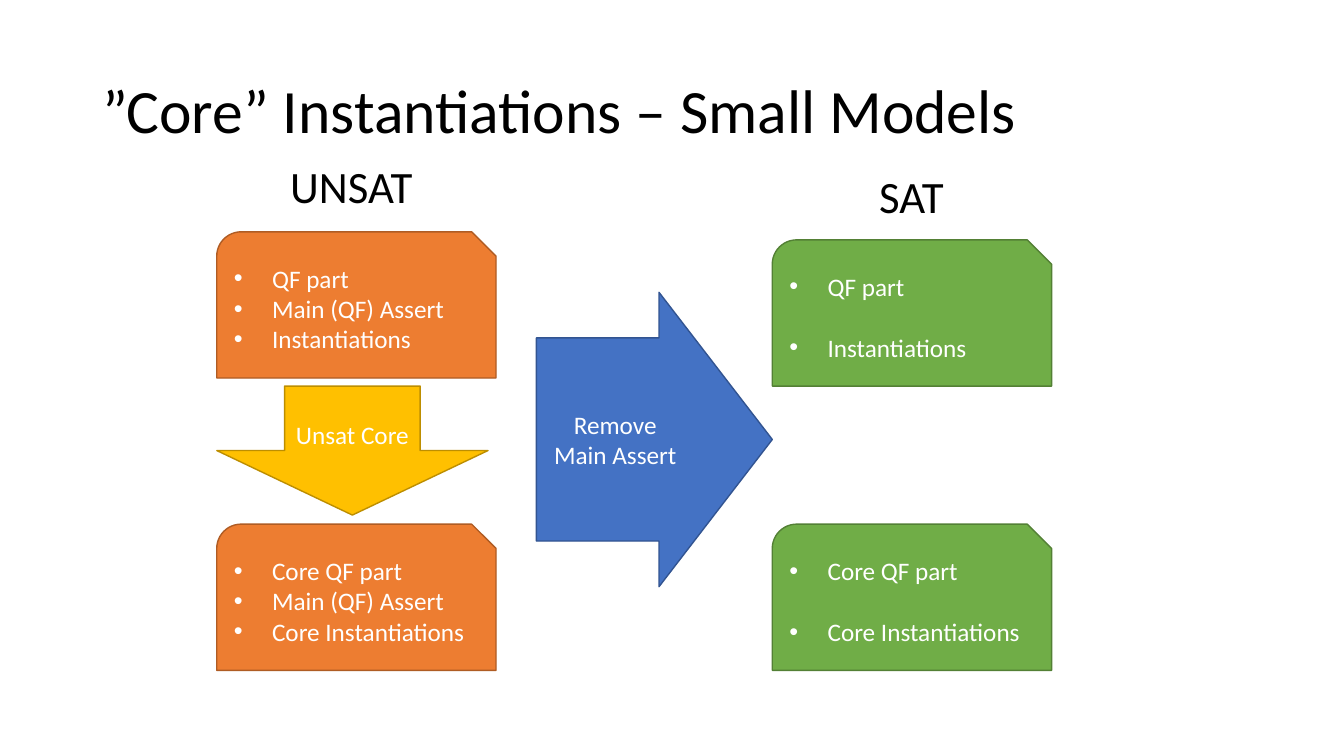
from pptx import Presentation
from pptx.dml.color import RGBColor as RGB
from pptx.enum.shapes import MSO_SHAPE as SHAPE
from pptx.enum.text import MSO_ANCHOR as ANCHOR, MSO_AUTO_SIZE as AUTO, PP_ALIGN as ALIGN
from pptx.oxml.ns import qn
from pptx.util import Pt
from lxml import etree

PX = 9144  # 100 px to the inch
COLORS = {
    "black": "000000", "white": "FFFFFF",
    "orange": "ED7D31", "orange_line": "AF5C24",
    "green": "70AD47", "green_line": "538035",
    "yellow": "FFC000", "yellow_line": "BD8E00",
    "blue": "4472C4", "blue_line": "325491",
}


def write(p, text, size, color):
    r = p.add_run()
    r.text = text
    fmt = {"name": "Calibri", "size": Pt(size)}
    for name, value in fmt.items():
        setattr(r.font, name, value)
    r.font.color.rgb = RGB.from_string(COLORS[color])


def add_block(kind, box, color):
    sp = s.shapes.add_shape(kind, *[v * PX for v in box])
    sp.shadow.inherit = False
    sp.fill.solid()
    sp.fill.fore_color.rgb = RGB.from_string(COLORS[color])
    sp.line.color.rgb = RGB.from_string(COLORS[color + "_line"])
    sp.line.width = Pt(1)
    sp.text_frame.word_wrap = True
    sp.text_frame.vertical_anchor = ANCHOR.MIDDLE
    return sp


prs = Presentation()
prs.slide_width, prs.slide_height = 1333 * PX, 750 * PX
s = prs.slides.add_slide(prs.slide_layouts[5])

# Title
title = s.shapes.title
place = {"left": 92, "top": 40, "width": 1150, "height": 145}
for name, value in place.items():
    setattr(title, name, value * PX)
tf = title.text_frame
tf.vertical_anchor = ANCHOR.MIDDLE
p = tf.paragraphs[0]
p.alignment, p.line_spacing = ALIGN.LEFT, 0.9
write(p, "”Core” Instantiations – Small Models", 44, "black")

# Formula boxes: left, top, colour, space between items in points, items
boxes = [
    (215, 230, "orange", 0, ["QF part", "Main (QF) Assert", "Instantiations"]),
    (215, 520, "orange", 0, ["Core QF part", "Main (QF) Assert", "Core Instantiations"]),
    (766, 238, "green", 22, ["QF part", "Instantiations"]),
    (766, 520, "green", 22, ["Core QF part", "Core Instantiations"]),
]
for left, top, color, gap, items in boxes:
    tf = add_block(SHAPE.SNIP_ROUND_RECTANGLE, (left, top, 277, 145), color).text_frame
    for i, item in enumerate(items):
        p = tf.add_paragraph() if i else tf.paragraphs[0]
        p.alignment = ALIGN.LEFT
        p.space_before = Pt(gap if i else 0)
        pPr = p._p.get_or_add_pPr()
        pPr.set("marL", str(38 * PX))
        pPr.set("indent", str(-38 * PX))
        etree.SubElement(pPr, qn("a:buFont")).set("typeface", "Arial")
        etree.SubElement(pPr, qn("a:buChar")).set("char", "•")
        write(p, item, 18, "white")

# Step arrows
arrows = [
    (SHAPE.DOWN_ARROW, (215, 383, 269, 128), "yellow", (0.5, 0.5), "Unsat Core"),
    (SHAPE.RIGHT_ARROW, (532, 290, 234, 292), "blue", (0.69, 0.48), "Remove Main Assert"),
]
for kind, box, color, adjustments, label in arrows:
    sp = add_block(kind, box, color)
    for i, value in enumerate(adjustments):
        sp.adjustments[i] = value
    p = sp.text_frame.paragraphs[0]
    p.alignment = ALIGN.CENTER
    write(p, label, 18, "white")

# Column headings
for label, box in [("UNSAT", (278, 153, 143, 64)), ("SAT", (862, 162, 85, 64))]:
    tf = s.shapes.add_textbox(*[v * PX for v in box]).text_frame
    tf.word_wrap = False
    tf.auto_size = AUTO.SHAPE_TO_FIT_TEXT
    write(tf.paragraphs[0], label, 32, "black")

prs.save("out.pptx")
